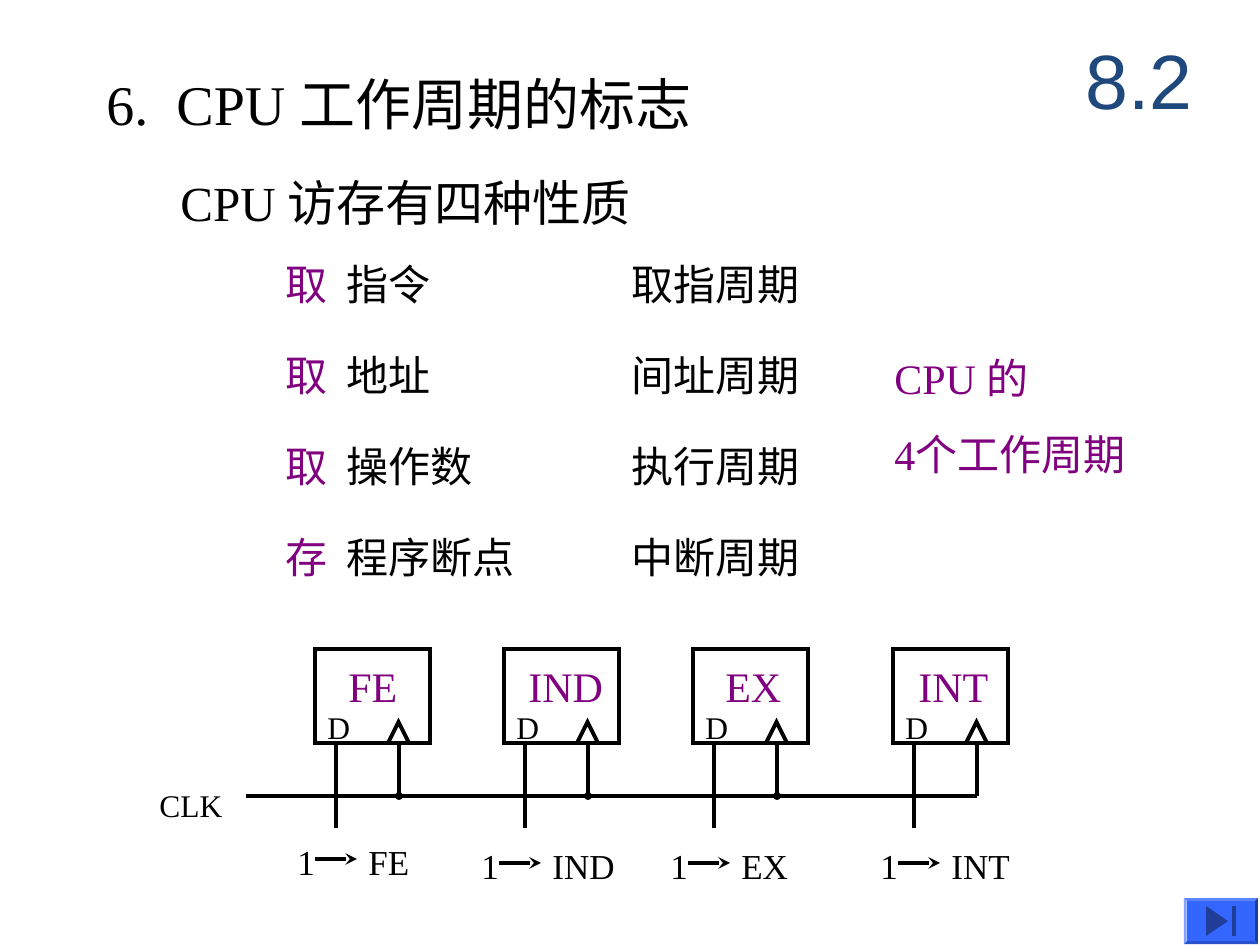
"""Build the slide on the flags that mark the four CPU working cycles."""
from dataclasses import dataclass
from typing import Optional

from lxml.etree import SubElement
from pptx import Presentation
from pptx.dml.color import RGBColor
from pptx.enum.shapes import MSO_CONNECTOR, MSO_SHAPE
from pptx.enum.text import MSO_ANCHOR, MSO_AUTO_SIZE, PP_ALIGN
from pptx.oxml.ns import qn
from pptx.shapes.autoshape import Shape
from pptx.slide import Slide
from pptx.util import Emu, Pt

PX_PER_INCH = 126
BLACK = RGBColor(0x00, 0x00, 0x00)
PURPLE = RGBColor(0x80, 0x00, 0x80)
NAVY = RGBColor(0x1F, 0x49, 0x7D)
BUTTON_BLUE = RGBColor(0x33, 0x66, 0xFF)
ICON_BLUE = RGBColor(0x1F, 0x3D, 0x99)
SERIF = "Times New Roman"
SANS = "Arial"

ROW_TOP, ROW_STEP = 252, 91
BOX_TOP, BOX_WIDTH, BOX_HEIGHT = 649, 115, 94
BOX_BOTTOM = BOX_TOP + BOX_HEIGHT
CLOCK_Y = 796


@dataclass(frozen=True)
class Access:
    verb: str
    target: str
    cycle: str


@dataclass(frozen=True)
class FlipFlop:
    name: str
    left: int
    name_left: int
    name_width: int
    set_left: int
    set_top: int
    target_width: int
    junction: Optional[str] = "oval"


ACCESSES = (
    Access("取", "指令", "取指周期"),
    Access("取", "地址", "间址周期"),
    Access("取", "操作数", "执行周期"),
    Access("存", "程序断点", "中断周期"),
)
FLIP_FLOPS = (
    FlipFlop("FE", 315, 336, 80, 285, 834, 72),
    FlipFlop("IND", 504, 516, 106, 469, 838, 94),
    FlipFlop("EX", 693, 713, 87, 658, 838, 78),
    FlipFlop("INT", 893, 906, 102, 868, 838, 90, None),
)


def px(length: int) -> Emu:
    """Turn pixels into EMU."""
    return Emu(round(length * 914400 / PX_PER_INCH))


def add_text(slide: Slide, left: int, top: int, width: int, height: int,
             lines: list[str], size: int, color: RGBColor = BLACK,
             wrap: bool = True, font: str = SERIF) -> Shape:
    """Add a text box with one paragraph per line."""
    box = slide.shapes.add_textbox(px(left), px(top), px(width), px(height))
    frame = box.text_frame
    frame.word_wrap = wrap
    frame.auto_size = MSO_AUTO_SIZE.SHAPE_TO_FIT_TEXT
    frame.text = "\n".join(lines)
    for index, paragraph in enumerate(frame.paragraphs):
        paragraph.font.size = Pt(size)
        paragraph.font.name = font
        paragraph.font.color.rgb = color
        if index:
            paragraph.space_before = Pt(15)
    return box


def add_line(slide: Slide, x1: int, y1: int, x2: int, y2: int,
             end: Optional[str] = None, end_size: str = "med") -> None:
    """Add a straight line, with an end mark if one is named."""
    line = slide.shapes.add_connector(
        MSO_CONNECTOR.STRAIGHT, px(x1), px(y1), px(x2), px(y2))
    line.line.color.rgb = BLACK
    line.line.width = Pt(2.25)
    if end:
        SubElement(line.line._get_or_add_ln(), qn("a:tailEnd"),
                   type=end, w=end_size, len=end_size)
    SubElement(line._element.spPr, qn("a:effectLst"))


def add_outline(slide: Slide, kind: MSO_SHAPE, left: int, top: int,
                width: int, height: int) -> None:
    """Add an unfilled shape with a sharp-cornered black outline."""
    shape = slide.shapes.add_shape(
        kind, px(left), px(top), px(width), px(height))
    shape.shadow.inherit = False
    shape.fill.background()
    shape.line.color.rgb = BLACK
    shape.line.width = Pt(2.25)
    SubElement(shape.line._get_or_add_ln(), qn("a:miter"), lim="800000")


def add_solid(slide: Slide, kind: MSO_SHAPE, left: int, top: int,
              width: int, height: int, color: RGBColor) -> Shape:
    """Add a filled shape without an outline."""
    shape = slide.shapes.add_shape(
        kind, px(left), px(top), px(width), px(height))
    shape.shadow.inherit = False
    shape.fill.solid()
    shape.fill.fore_color.rgb = color
    shape.line.fill.background()
    return shape


def add_access(slide: Slide, access: Access, top: int) -> None:
    """Add one kind of memory access and its cycle."""
    action = add_text(slide, 273, top, 305, 63, [access.verb], 24, PURPLE)
    target = action.text_frame.paragraphs[0].add_run()
    target.text = f"  {access.target}"
    target.font.color.rgb = BLACK
    add_text(slide, 619, top, 305, 63, [access.cycle], 24)


def add_flip_flop(slide: Slide, flip: FlipFlop) -> None:
    """Add one flip-flop with its inputs and its set operation."""
    add_text(slide, flip.name_left, 654, flip.name_width, 63,
             [flip.name], 24, PURPLE, wrap=False)
    add_outline(slide, MSO_SHAPE.RECTANGLE, flip.left, BOX_TOP,
                BOX_WIDTH, BOX_HEIGHT)
    add_text(slide, flip.left, 702, 54, 50, ["D"], 18, wrap=False)
    add_outline(slide, MSO_SHAPE.ISOSCELES_TRIANGLE, flip.left + 73,
                BOX_BOTTOM - 21, 21, 21)
    data_x, clock_x = flip.left + 21, flip.left + 84
    add_line(slide, data_x, BOX_BOTTOM, data_x, 828)
    add_line(slide, clock_x, BOX_BOTTOM, clock_x, CLOCK_Y,
             flip.junction, "sm")

    arrow_x, arrow_y = flip.set_left + 30, flip.set_top + 25
    add_line(slide, arrow_x, arrow_y, arrow_x + 42, arrow_y, "stealth")
    add_text(slide, flip.set_left, flip.set_top, 48, 55, ["1"], 20, wrap=False)
    add_text(slide, flip.set_left + 71, flip.set_top, flip.target_width, 55,
             [flip.name], 20, wrap=False)


def add_end_button(slide: Slide) -> None:
    """Add the bevelled button in the bottom right corner."""
    button = add_solid(slide, MSO_SHAPE.BEVEL, 1184, 898, 74, 46, BUTTON_BLUE)
    button.adjustments[0] = 0.06
    arrow = add_solid(slide, MSO_SHAPE.ISOSCELES_TRIANGLE,
                      1202, 910, 30, 22, ICON_BLUE)
    arrow.rotation = 90
    add_solid(slide, MSO_SHAPE.RECTANGLE, 1232, 906, 4, 30, ICON_BLUE)


def main() -> None:
    """Build and save the slide."""
    deck = Presentation()
    deck.slide_width, deck.slide_height = px(1260), px(945)
    slide = deck.slides.add_slide(deck.slide_layouts[6])

    add_text(slide, 94, 63, 788, 81, ["6.  CPU 工作周期的标志"], 32)
    add_text(slide, 168, 166, 735, 72, ["CPU 访存有四种性质"], 28)
    for row, access in enumerate(ACCESSES):
        add_access(slide, access, ROW_TOP + row * ROW_STEP)
    add_text(slide, 882, 346, 431, 140, ["CPU 的", "4个工作周期"], 24, PURPLE)

    for flip in FLIP_FLOPS:
        add_flip_flop(slide, flip)
    add_line(slide, 246, CLOCK_Y, 977, CLOCK_Y)
    add_text(slide, 147, 780, 94, 50, ["CLK"], 18, wrap=False)

    section = add_text(slide, 1060, 21, 158, 116, ["8.2"], 44, NAVY, font=SANS)
    section.text_frame.auto_size = MSO_AUTO_SIZE.NONE
    section.text_frame.vertical_anchor = MSO_ANCHOR.MIDDLE
    section.text_frame.paragraphs[0].alignment = PP_ALIGN.CENTER
    add_end_button(slide)
    deck.save("out.pptx")


if __name__ == "__main__":
    main()
